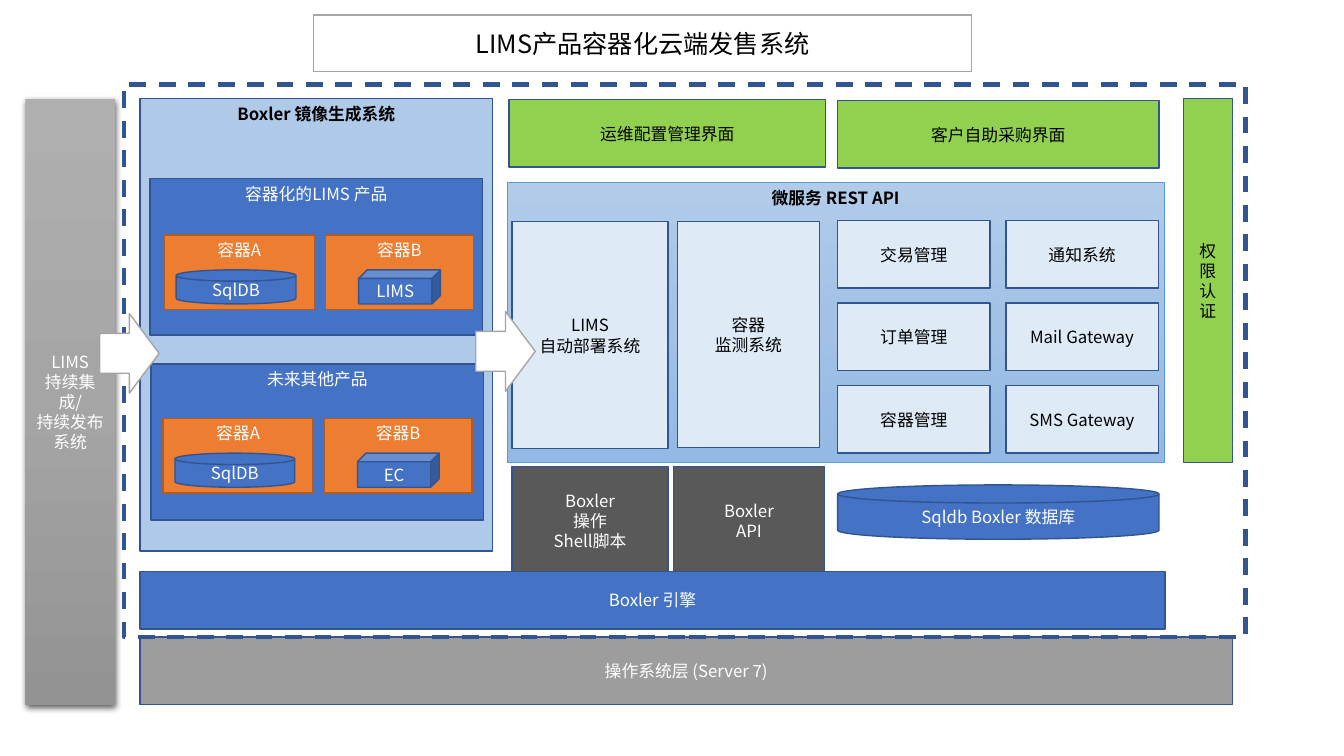
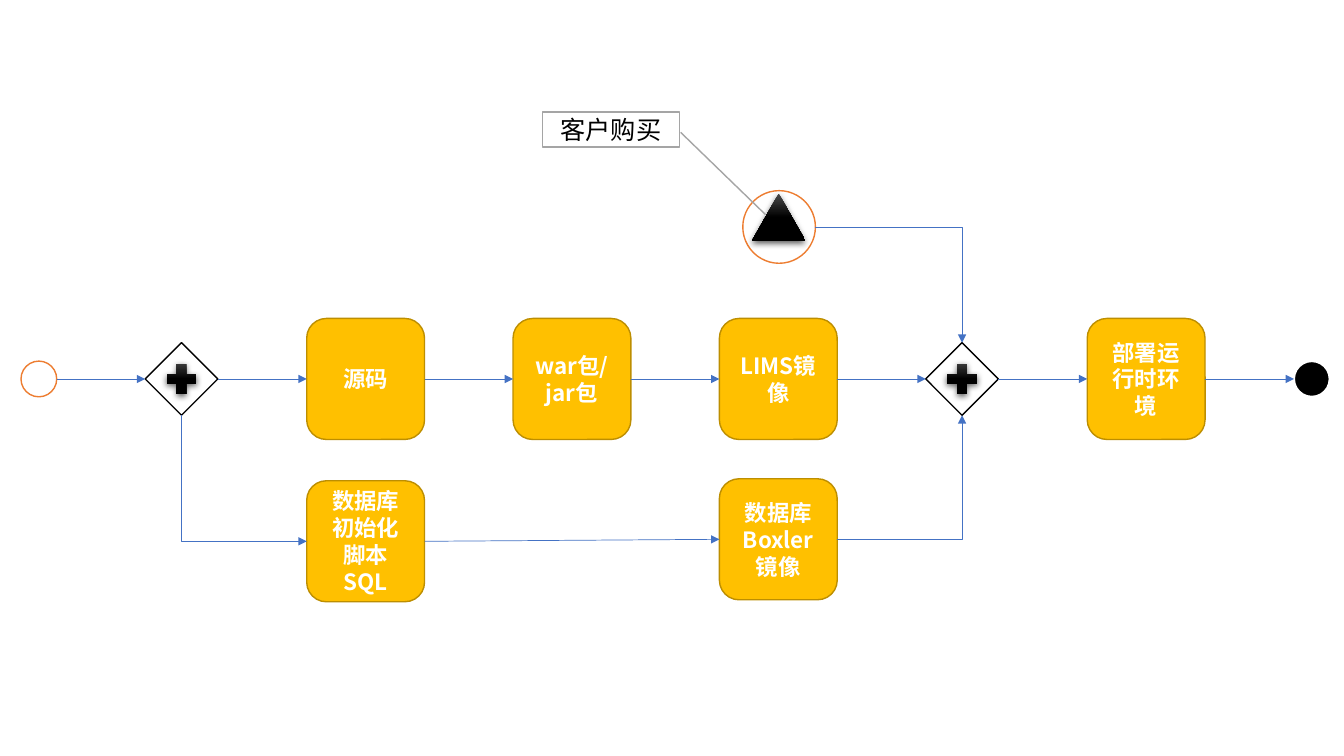
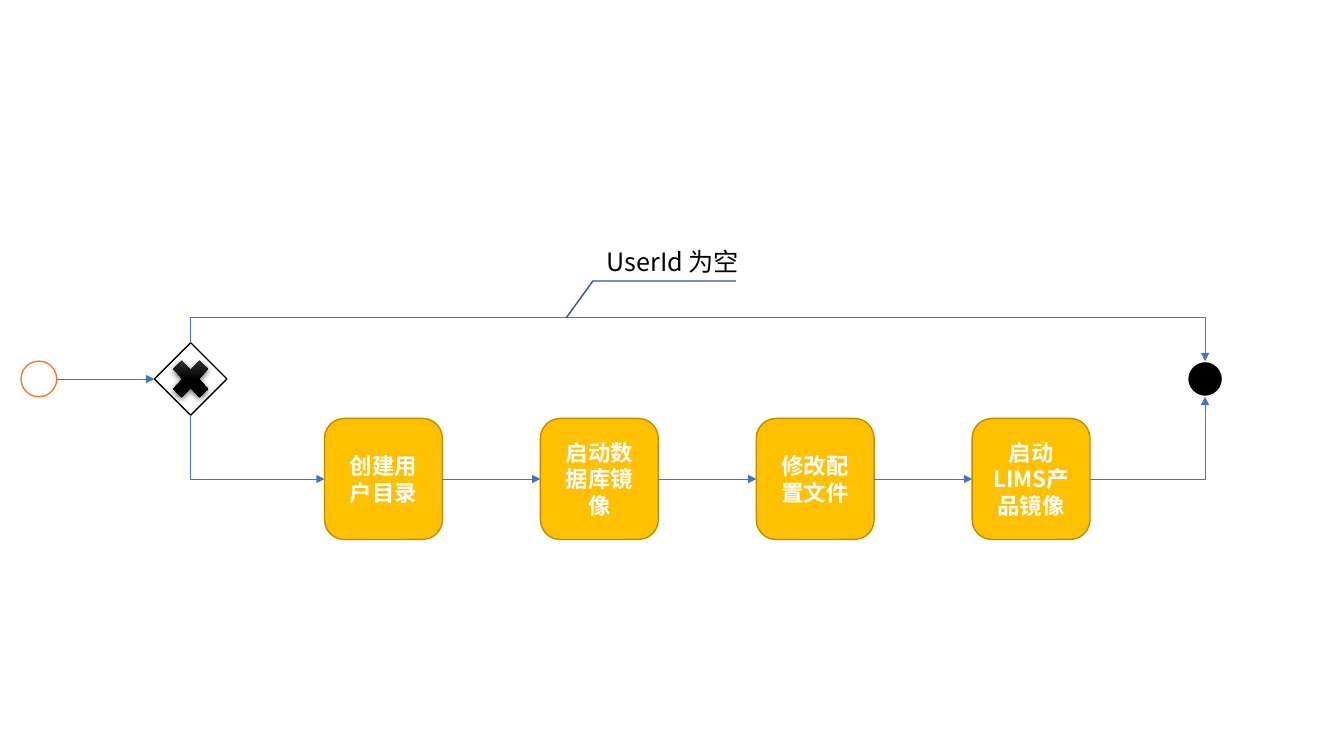
from copy import deepcopy
from itertools import pairwise

from lxml import etree
from pptx import Presentation
from pptx import util as u
from pptx.dml.color import RGBColor
from pptx.enum import dml, shapes, text
from pptx.oxml.ns import qn

FONT = "Noto Sans CJK SC"
KIND = shapes.MSO_SHAPE
MIDDLE, TOP = text.MSO_ANCHOR.MIDDLE, text.MSO_ANCHOR.TOP
WHITE, BLACK, BLUE, ORANGE = "FFFFFF", "000000", "4472C4", "ED7D31"
NAVY_LINE, GREY_LINE = ("325491", 1), ("A5A5A5", 1)
GLOSSY = {"fill": ("4B4B4B", BLACK, BLACK), "shadow": True}
LOOKS = {
    "title": {"fill": WHITE, "line": GREY_LINE, "ink": BLACK, "size": 18},
    "image": {"fill": "AFC9E8", "line": NAVY_LINE, "ink": BLACK, "bold": True, "anchor": TOP},
    "api": {"fill": ("B1CBE9", "A3C1E5", "93B9E4"), "line": ("5B9BD5", 0.5),
            "ink": BLACK, "bold": True, "anchor": TOP},
    "pipeline": {"fill": ("AFAFAF", "A5A5A5", "939393"), "shadow": True},
    "product": {"fill": BLUE, "line": NAVY_LINE, "anchor": TOP},
    "container": {"fill": ORANGE, "line": ("AF5C24", 1), "anchor": TOP},
    "engine": {"fill": BLUE, "line": NAVY_LINE},
    "portal": {"fill": "92D050", "line": NAVY_LINE, "ink": BLACK},
    "service": {"fill": "DEEBF7", "line": NAVY_LINE, "ink": BLACK},
    "script": {"fill": "595959", "line": NAVY_LINE},
    "system": {"fill": "9D9D9D", "line": NAVY_LINE},
    "boundary": {"line": ("325491", 3), "dash": dml.MSO_LINE.DASH},
    "arrow": {"fill": WHITE, "line": GREY_LINE},
    "task": {"fill": "FFC000", "line": ("BD8E00", 1), "size": 16, "bold": True},
    "gate": {"fill": WHITE, "line": (BLACK, 1)},
    "event": {"fill": WHITE, "line": (ORANGE, 1)},
    "finish": {"fill": BLACK, "line": (WHITE, 1.5)},
    "symbol": GLOSSY,
    "note": {"line": NAVY_LINE, "ink": BLACK, "size": 18},
}
TASK_WIDTH, TASK_HEIGHT = 2.97, 3.05
GATE_SIZE, EVENT_SIZE = 1.83, 0.9
MAIN_ROW = 9.55


def rgb(colour):
    """Turn a hex string into a colour."""
    return RGBColor.from_string(colour)


def assign(target, values):
    """Set each attribute of a target from a dict."""
    for name, value in values.items():
        setattr(target, name, value)


def paint(box, fill):
    """Fill a box with nothing, one colour or a three-stop vertical gradient."""
    if fill is None:
        box.fill.background()
    elif isinstance(fill, str):
        box.fill.solid()
        box.fill.fore_color.rgb = rgb(fill)
    else:
        box.fill.gradient()
        box.fill.gradient_angle = 270
        stops = box._element.spPr.find(".//" + qn("a:gsLst"))
        stops.insert(0, deepcopy(stops[0]))
        for stop, position, colour in zip(box.fill.gradient_stops, (0, 0.5, 1), fill):
            stop.position = position
            stop.color.rgb = rgb(colour)


def outline(line, stroke, dash=None):
    """Draw a line as a colour and a width, or hide it."""
    if stroke is None:
        line.fill.background()
        return
    colour, width = stroke
    line.color.rgb = rgb(colour)
    line.width = u.Pt(width)
    if dash is not None:
        line.dash_style = dash


def cast_shadow(box):
    """Put a soft shadow below a box."""
    effects = box._element.spPr.find(qn("a:effectLst"))
    values = {"blurRad": "57150", "dist": "19050", "dir": "5400000",
              "algn": "ctr", "rotWithShape": "0"}
    shadow = etree.SubElement(effects, qn("a:outerShdw"), values)
    colour = etree.SubElement(shadow, qn("a:srgbClr"), {"val": BLACK})
    etree.SubElement(colour, qn("a:alpha"), {"val": "63000"})


def write(box, words, ink=WHITE, size=12, bold=False, anchor=MIDDLE):
    """Write centred paragraphs into a box, one per line of words."""
    frame = box.text_frame
    assign(frame, {"word_wrap": True, "vertical_anchor": anchor, "text": words})
    for para in frame.paragraphs:
        para.alignment = text.PP_ALIGN.CENTER
        for span in para.runs:
            assign(span.font, {"name": FONT, "size": u.Pt(size), "bold": bold})
            span.font.color.rgb = rgb(ink)
            etree.SubElement(span.font._element, qn("a:ea"), {"typeface": FONT})


def dress(box, look, words=""):
    """Give a box the fill, line, shadow and text of a named look."""
    style = dict(LOOKS[look])
    paint(box, style.pop("fill", None))
    outline(box.line, style.pop("line", None), style.pop("dash", None))
    box.shadow.inherit = False
    if style.pop("shadow", False):
        cast_shadow(box)
    if words:
        write(box, words, **style)


def block(page, look, area, words="", kind=KIND.RECTANGLE):
    """Add a shape at left, top, width, height in centimetres."""
    box = page.shapes.add_shape(kind, *map(u.Cm, area))
    dress(box, look, words)
    return box


def callout(page, look, kind, area, words, pointer):
    """Add a callout whose pointer follows the given adjustments."""
    box = block(page, look, area, words, kind)
    for index, value in enumerate(pointer):
        box.adjustments[index] = value


def centred(page, look, kind, x, middle, width, height, words=""):
    """Add a shape by its left edge and its vertical middle."""
    return block(page, look, (x, middle - height / 2, width, height), words, kind)


def task(page, x, middle, words):
    """Add a rounded task box."""
    return centred(page, "task", KIND.ROUNDED_RECTANGLE, x, middle, TASK_WIDTH, TASK_HEIGHT, words)


def event(page, x, look="event", size=EVENT_SIZE, middle=MAIN_ROW):
    """Add a round event."""
    return centred(page, look, KIND.OVAL, x, middle, size, size)


def gate(page, x, kind, width, height):
    """Add a diamond gateway with a symbol at its centre."""
    diamond = centred(page, "gate", KIND.DIAMOND, x, MAIN_ROW, GATE_SIZE, GATE_SIZE)
    centred(page, "symbol", kind, x + (GATE_SIZE - width) / 2, MAIN_ROW, width, height)
    return diamond


def side(box, name):
    """Return the middle point of one side of a box."""
    across, down = {"left": (0, 0.5), "right": (1, 0.5), "top": (0.5, 0), "bottom": (0.5, 1)}[name]
    return int(box.left + across * box.width), int(box.top + down * box.height)


def finish_link(link):
    """Give a connector its colour, arrowhead and no shadow."""
    outline(link.line, (BLUE, 0.5))
    properties = link._element.spPr
    etree.SubElement(properties.find(qn("a:ln")), qn("a:tailEnd"), {"type": "triangle"})
    etree.SubElement(properties, qn("a:effectLst"))


def straight(page, first, second):
    """Point a straight arrow from one box to the next on its right."""
    ends = side(first, "right") + side(second, "left")
    finish_link(page.shapes.add_connector(shapes.MSO_CONNECTOR.STRAIGHT, *ends))


def elbow(page, start, end, down_first=False, bend=None):
    """Point a bent arrow from start to end, with a middle leg if bend is given."""
    link = page.shapes.add_connector(shapes.MSO_CONNECTOR.ELBOW, *start, *end)
    geometry = link._element.spPr.find(qn("a:prstGeom"))
    if bend is None:
        geometry.set("prst", "bentConnector2")
    else:
        guide = {"name": "adj1", "fmla": f"val {round(bend * 100000)}"}
        etree.SubElement(geometry.find(qn("a:avLst")), qn("a:gd"), guide)
    if down_first:
        across, down = end[0] - start[0], end[1] - start[1]
        assign(link, {"left": start[0] + (across - down) // 2,
                      "top": start[1] + (down - across) // 2,
                      "width": down, "height": across})
        frame = link._element.spPr.find(qn("a:xfrm"))
        frame.set("rot", "16200000")
        frame.set("flipH", "1")
    finish_link(link)


def product(page, panel, inner, title, module):
    """Add a product panel with a database container and a module container."""
    block(page, "product", (*panel, 8.38, 3.94), title)
    x, y = inner
    block(page, "container", (x, y, 3.78, 1.88), "容器A")
    block(page, "engine", (x + 0.3, y + 0.88, 3.02, 0.86), "SqlDB", KIND.FLOWCHART_MAGNETIC_DISK)
    block(page, "container", (x + 4.06, y, 3.73, 1.88), "容器B")
    block(page, "engine", (x + 4.9, y + 0.88, 2.06, 0.86), module, KIND.CUBE)


def architecture(deck):
    """Build the slide with the system architecture."""
    page = deck.slides.add_slide(deck.slide_layouts[5])
    title = page.shapes.title
    assign(title, {"left": u.Cm(7.9), "top": u.Cm(0.38), "width": u.Cm(16.59), "height": u.Cm(1.42)})
    dress(title, "title", "LIMS产品容器化云端发售系统")
    block(page, "api", (12.78, 4.6, 16.56, 7.06), "微服务 REST API")
    block(page, "pipeline", (0.64, 2.49, 2.26, 15.27), "LIMS\n持续集成/\n持续发布系统")
    block(page, "image", (3.53, 2.49, 8.89, 11.4), "Boxler 镜像生成系统")
    product(page, (3.78, 4.5), (4.14, 5.92), "容器化的LIMS 产品", "LIMS")
    product(page, (3.81, 9.17), (4.11, 10.54), "未来其他产品", "EC")
    for look, area, words in (
        ("portal", (21.11, 2.54, 8.1, 1.7), "客户自助采购界面"),
        ("portal", (12.83, 2.51, 7.98, 1.7), "运维配置管理界面"),
        ("service", (12.9, 5.59, 3.94, 5.72), "LIMS\n自动部署系统"),
        ("service", (17.07, 5.59, 3.58, 5.69), "容器\n监测系统"),
        ("script", (12.9, 11.76, 3.94, 2.72), "Boxler\n操作\nShell脚本"),
        ("script", (16.97, 11.76, 3.81, 2.72), "Boxler\nAPI"),
        ("system", (3.53, 16.05, 27.53, 1.7), "操作系统层 (Server 7)"),
        ("engine", (3.53, 14.4, 25.83, 1.45), "Boxler 引擎"),
        ("portal", (29.82, 2.49, 1.24, 9.17), "权限认证"),
    ):
        block(page, look, area, words)
    services = ("交易管理", "通知系统", "订单管理", "Mail Gateway", "容器管理", "SMS Gateway")
    for index, words in enumerate(services):
        row, column = divmod(index, 2)
        block(page, "service", (21.11 + 4.24 * column, 5.56 + 2.08 * row, 3.84, 1.7), words)
    block(page, "engine", (21.11, 12.22, 8.1, 1.37), "Sqldb Boxler 数据库",
          KIND.FLOWCHART_MAGNETIC_DISK)
    block(page, "boundary", (3.12, 2.13, 28.27, 13.92))
    for x, y in ((2.51, 7.9), (11.99, 7.85)):
        block(page, "arrow", (x, y, 1.5, 2.01), kind=KIND.RIGHT_ARROW)


def release_flow(deck):
    """Build the slide with the flow from source code to deployment."""
    page = deck.slides.add_slide(deck.slide_layouts[6])
    plus = (KIND.MATH_PLUS, 1.02, 1.02)
    start = event(page, 0.53)
    fork = gate(page, 3.66, *plus)
    source = task(page, 7.73, MAIN_ROW, "源码")
    package = task(page, 12.93, MAIN_ROW, "war包/jar包")
    image = task(page, 18.13, MAIN_ROW, "LIMS镜像")
    join = gate(page, 23.33, *plus)
    deploy = task(page, 27.4, MAIN_ROW, "部署运行时环境")
    finish = event(page, 32.61, "finish")
    database = task(page, 7.73, 13.64, "数据库初始化脚本SQL")
    database_image = task(page, 18.13, 13.59, "数据库Boxler\n镜像")
    purchase = event(page, 18.72, size=GATE_SIZE, middle=5.72)
    block(page, "symbol", (18.95, 4.88, 1.35, 1.19), kind=KIND.FLOWCHART_EXTRACT)
    for pair in pairwise((start, fork, source, package, image, join, deploy, finish)):
        straight(page, *pair)
    straight(page, database, database_image)
    elbow(page, side(fork, "bottom"), side(database, "left"), down_first=True)
    elbow(page, side(database_image, "right"), side(join, "bottom"))
    elbow(page, side(purchase, "right"), side(join, "top"))
    callout(page, "title", KIND.LINE_CALLOUT_1, (13.67, 2.82, 3.45, 0.89), "客户购买",
            (0.58, 1.01, 2.91, 1.63))


def startup_flow(deck):
    """Build the slide with the flow that starts a user's product."""
    page = deck.slides.add_slide(deck.slide_layouts[6])
    start = event(page, 0.53)
    choice = gate(page, 3.89, KIND.MATH_MULTIPLY, 1.27, 1.37)
    finish = event(page, 29.92, "finish")
    names = ("创建用户目录", "启动数据库镜像", "修改配置文件", "启动LIMS产品镜像")
    tasks = [task(page, 8.18 + 5.44 * index, 12.07, name) for index, name in enumerate(names)]
    for pair in ((start, choice), *pairwise(tasks)):
        straight(page, *pair)
    elbow(page, side(choice, "bottom"), side(tasks[0], "left"), down_first=True)
    elbow(page, side(choice, "top"), side(finish, "top"), down_first=True, bend=-1.36)
    elbow(page, side(tasks[-1], "right"), side(finish, "bottom"))
    callout(page, "note", KIND.LINE_CALLOUT_2_NO_BORDER, (14.86, 5.92, 4.19, 1.32),
            "UserId 为空", (0.88, 0.88, 0.88, 0.02, 1.58, -0.14))


def main():
    """Build and save the deck."""
    deck = Presentation()
    assign(deck, {"slide_width": u.Cm(33.87), "slide_height": u.Cm(19.05)})
    architecture(deck)
    release_flow(deck)
    startup_flow(deck)
    deck.save("out.pptx")


main()
